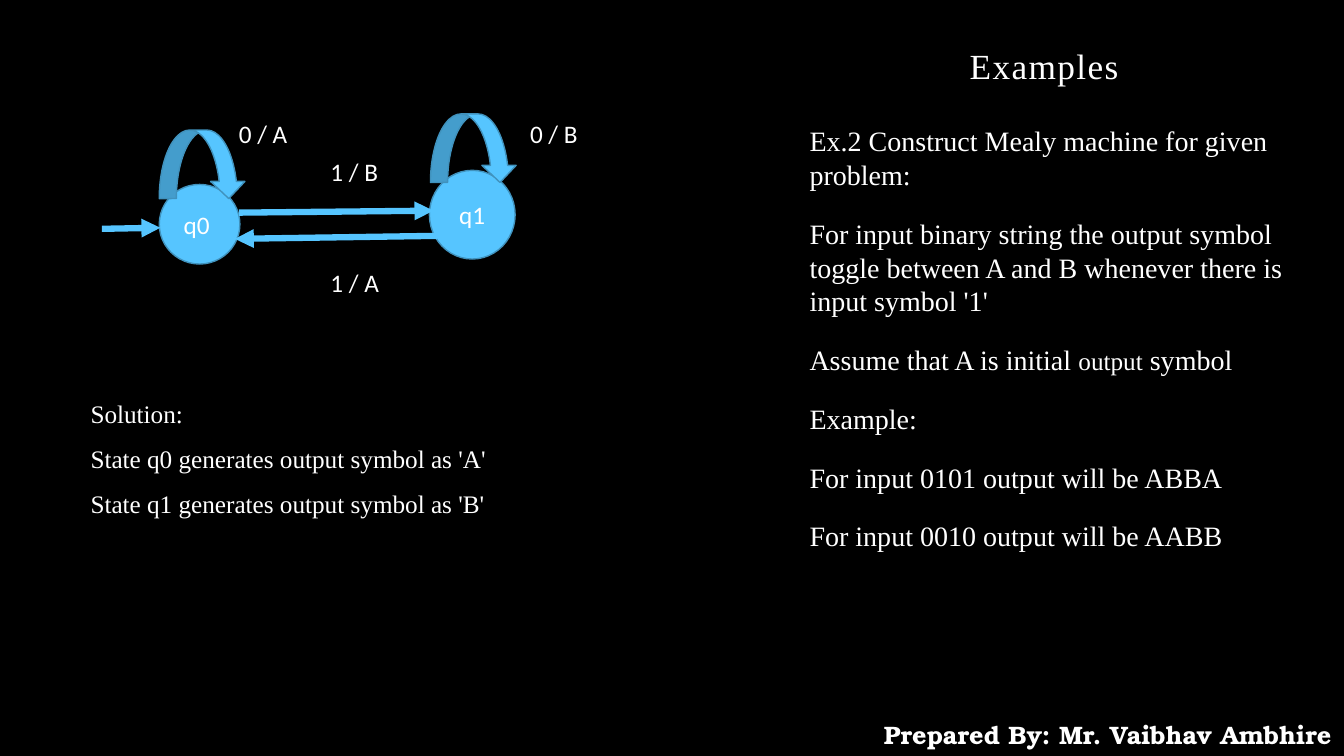
from dataclasses import dataclass

from lxml.etree import SubElement
from pptx import Presentation
from pptx.dml.color import RGBColor as RGB
from pptx.enum.shapes import MSO_CONNECTOR as CONN, MSO_SHAPE as SHAPE
from pptx.enum.text import MSO_ANCHOR as ANCHOR, MSO_AUTO_SIZE as FIT, PP_ALIGN as ALIGN
from pptx.oxml.ns import qn
from pptx.util import Inches, Pt


@dataclass(frozen=True)
class Theme:
    back: RGB = RGB(0x00, 0x00, 0x00)
    text: RGB = RGB(0xFF, 0xFF, 0xFF)
    accent: RGB = RGB(0x56, 0xC5, 0xFF)
    edge: RGB = RGB(0x40, 0x92, 0xBD)
    serif: str = "Times New Roman"
    sans: str = "Calibri"
    credit: str = "TeX Gyre Bonum"
    title_size: float = 25.2
    body_size: float = 20
    small_size: float = 18
    edge_width: float = 1
    arrow_width: float = 4.5


@dataclass(frozen=True)
class Box:
    """Percentages of the slide's width and height."""
    left: float
    top: float
    width: float
    height: float


@dataclass(frozen=True)
class State:
    name: str
    circle: Box
    loop: Box


@dataclass(frozen=True)
class Arrow:
    x1: float
    y1: float
    x2: float
    y2: float


@dataclass(frozen=True)
class Label:
    text: str
    left: float
    top: float
    width: float


THEME = Theme()
LINE_H = 5.33
LOOP_W, LOOP_H = 6.45, 9.07

STATES = [
    State("q0 ", Box(11.85, 24.4, 6, 10.53), Box(11.85, 17.2, LOOP_W, LOOP_H)),
    State("q1", Box(31.95, 22.53, 6.38, 11.73), Box(32.03, 15.07, LOOP_W, LOOP_H)),
]
ARROWS = [
    Arrow(7.58, 30.27, 11.93, 30.13),
    Arrow(17.78, 28.13, 32.25, 27.87),
    Arrow(32.55, 31.2, 17.48, 31.6),
]
LABELS = [
    Label("0 / A", 17.03, 14.93, 7.05),
    Label("1 / B", 23.85, 20, 6.15),
    Label("1 / A", 23.85, 34.67, 6.15),
    Label("0 / B", 38.7, 14.93, 5.25),
]
PROBLEM = [
    [("Ex.2 Construct Mealy machine for given problem:", THEME.body_size)],
    [("For input binary string the output symbol toggle between A and B "
      "whenever there is input symbol '1'", THEME.body_size)],
    [("Assume that A is initial ", THEME.body_size), ("output", THEME.small_size),
     (" symbol", THEME.body_size)],
    [("Example:", THEME.body_size)],
    [("For input 0101 output will be ABBA", THEME.body_size)],
    [("For input 0010 output will be AABB", THEME.body_size)],
]
SOLUTION = [
    "Solution:",
    "State q0 generates output symbol as 'A'",
    "State q1 generates output symbol as 'B'",
]

prs = Presentation()
prs.slide_width, prs.slide_height = Inches(13.33), Inches(7.5)


def across(share: float) -> int:
    return round(prs.slide_width * share / 100)


def down(share: float) -> int:
    return round(prs.slide_height * share / 100)


def bounds(box: Box) -> tuple[int, int, int, int]:
    return across(box.left), down(box.top), across(box.width), down(box.height)


def add_run(p, text: str, size: float, font: str, bold: bool = False):
    r = p.add_run()
    r.text = text
    r.font.size, r.font.name, r.font.bold = Pt(size), font, bold
    r.font.color.rgb = THEME.text
    return r


def next_paragraph(tf, index: int):
    return tf.add_paragraph() if index else tf.paragraphs[0]


def add_text(slide, box: Box, lines: list[str], font: str, align=ALIGN.LEFT,
             spacing: float = 1.0, bold: bool = False) -> None:
    tf = slide.shapes.add_textbox(*bounds(box)).text_frame
    tf.word_wrap = True
    tf.auto_size = FIT.SHAPE_TO_FIT_TEXT
    for i, line in enumerate(lines):
        p = next_paragraph(tf, i)
        p.alignment, p.line_spacing = align, spacing
        add_run(p, line, THEME.small_size, font, bold)


def add_preset(slide, kind: SHAPE, box: Box):
    s = slide.shapes.add_shape(kind, *bounds(box))
    s.shadow.inherit = False
    s.fill.solid()
    s.fill.fore_color.rgb = THEME.accent
    s.line.color.rgb = THEME.edge
    s.line.width = Pt(THEME.edge_width)
    return s


def add_state(slide, state: State) -> None:
    tf = add_preset(slide, SHAPE.OVAL, state.circle).text_frame
    tf.vertical_anchor = ANCHOR.MIDDLE
    p = tf.paragraphs[0]
    p.alignment = ALIGN.CENTER
    add_run(p, state.name, THEME.small_size, THEME.sans)


def add_arrow(slide, arrow: Arrow) -> None:
    c = slide.shapes.add_connector(CONN.STRAIGHT, across(arrow.x1), down(arrow.y1),
                                   across(arrow.x2), down(arrow.y2))
    c.line.color.rgb = THEME.accent
    c.line.width = Pt(THEME.arrow_width)
    SubElement(c.line._get_or_add_ln(), qn("a:tailEnd"), type="triangle")
    SubElement(c._element.spPr, qn("a:effectLst"))


def place(sp, box: Box, anchor: ANCHOR):
    sp.left, sp.top, sp.width, sp.height = bounds(box)
    tf = sp.text_frame
    tf.word_wrap, tf.auto_size, tf.vertical_anchor = True, FIT.NONE, anchor
    return tf


def fill_title(sp) -> None:
    p = place(sp, Box(71.4, 5.6, 24.75, 6.53), ANCHOR.BOTTOM).paragraphs[0]
    p.alignment, p.line_spacing = ALIGN.LEFT, 0.9
    r = add_run(p, "Examples", THEME.title_size, THEME.serif)
    r.font._element.set("spc", "100")


def fill_body(sp) -> None:
    tf = place(sp, Box(59.48, 15.73, 39.15, 62.53), ANCHOR.TOP)
    for i, runs in enumerate(PROBLEM):
        p = next_paragraph(tf, i)
        ppr = p._p.get_or_add_pPr()
        ppr.set("marL", "0")
        ppr.set("indent", "0")
        SubElement(ppr, qn("a:buNone"))
        p.space_before = Pt(18 if i else 0)
        for text, size in runs:
            add_run(p, text, size, THEME.serif)


def main() -> None:
    slide = prs.slides.add_slide(prs.slide_layouts[1])
    slide.background.fill.solid()
    slide.background.fill.fore_color.rgb = THEME.back
    fill_title(slide.shapes.title)
    fill_body(slide.placeholders[1])
    for state in STATES:
        add_state(slide, state)
    for arrow in ARROWS:
        add_arrow(slide, arrow)
    for state in STATES:
        add_preset(slide, SHAPE.CURVED_DOWN_ARROW, state.loop)
    for label in LABELS:
        add_text(slide, Box(label.left, label.top, label.width, LINE_H), [label.text], THEME.sans)
    add_text(slide, Box(6, 50, 52.35, 18.93), SOLUTION, THEME.serif, spacing=1.5)
    add_text(slide, Box(64.8, 94.53, 35.25, LINE_H), ["Prepared By: Mr. Vaibhav Ambhire"],
             THEME.credit, align=ALIGN.CENTER, bold=True)
    prs.save("out.pptx")


if __name__ == "__main__":
    main()
